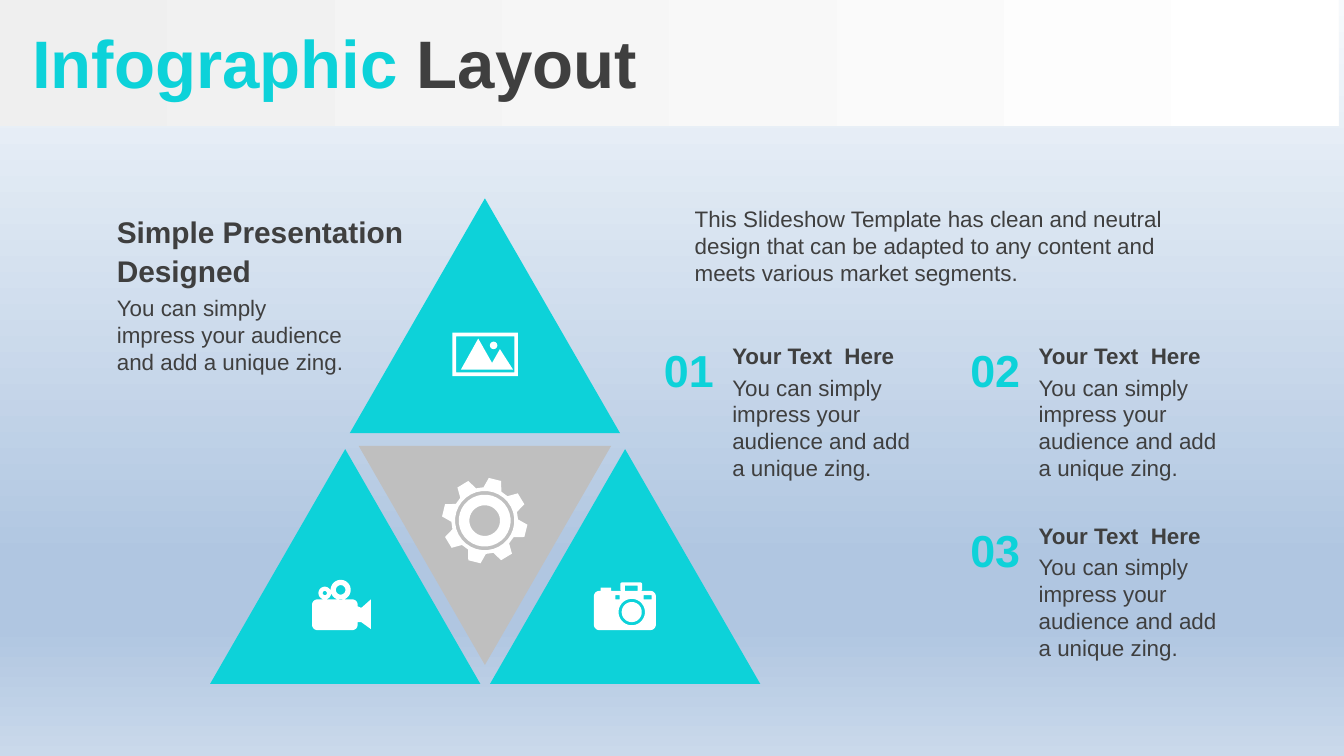
from copy import deepcopy
from math import copysign, cos, pi, radians, sin

from pptx import Presentation
from pptx.dml.color import RGBColor
from pptx.enum.shapes import MSO_SHAPE
from pptx.enum.text import MSO_ANCHOR, PP_ALIGN
from pptx.oxml.ns import qn
from pptx.util import Cm, Pt

UP_TRIANGLE = MSO_SHAPE.FLOWCHART_EXTRACT
DOWN_TRIANGLE = MSO_SHAPE.FLOWCHART_MERGE
RECTANGLE = MSO_SHAPE.RECTANGLE
MIDDLE, TOP = MSO_ANCHOR.MIDDLE, MSO_ANCHOR.TOP
CENTER, LEFT = PP_ALIGN.CENTER, PP_ALIGN.LEFT
TURQUOISE, DARK, GRAY, WHITE = "0DD2D9", "3F3F3F", "BFBFBF", "FFFFFF"
PROMISE = "You can simply impress your audience and add a unique zing."
rgb = RGBColor.from_string


def add_text(shapes, text, place, size=12, color=DARK, bold=False, align=LEFT, anchor=TOP):
    box = shapes.add_textbox(*map(Cm, place))
    frame = box.text_frame
    frame.word_wrap = True
    frame.vertical_anchor = anchor
    frame.text = text
    para = frame.paragraphs[0]
    para.alignment = align
    for span in para.runs:
        span.font.name = "Arial"
        span.font.size = Pt(size)
        span.font.bold = bold
        span.font.color.rgb = rgb(color)
    return box


def outline(x, y, width, height, radius=0):
    """Points of a rectangle around (x, y); a full radius makes it a circle."""
    steps = 32 if radius else 4
    angles = [2 * pi * (step + 0.5) / steps for step in range(steps)]
    return [(x + copysign(width / 2 - radius, cos(angle)) + radius * cos(angle),
             y + copysign(height / 2 - radius, sin(angle)) + radius * sin(angle))
            for angle in angles]


deck = Presentation()
deck.slide_width, deck.slide_height = Cm(25.4), Cm(14.29)
page = deck.slides.add_slide(deck.slide_layouts[6])

# Background and header band
header = page.shapes.add_shape(RECTANGLE, 0, 0, Cm(25.3), Cm(2.39))
header.shadow.inherit = False
header.line.fill.background()
gradients = [
    (page.background.fill, page.element.cSld, 270,
     [(0, "F6F9FC"), (0.74, "B0C6E1"), (0.83, "B0C6E1"), (1, "CAD9EB")]),
    (header.fill, header.element, 0, [(0, "EFEFEF"), (1, WHITE)]),
]
for fill, element, angle, stops in gradients:
    fill.gradient()
    fill.gradient_angle = angle
    stop_list = next(element.iter(qn("a:gsLst")))
    while len(stop_list) < len(stops):
        stop_list.append(deepcopy(stop_list[0]))
    for stop, (position, color) in zip(fill.gradient_stops, stops):
        stop.position = position
        stop.color.rgb = rgb(color)

# Title in two colours
title = add_text(page.shapes, "Infographic ", (0, 0.08, 25.4, 2.16), 36, TURQUOISE, True,
                 anchor=MIDDLE)
title.text_frame.margin_left = Cm(0.61)
span = title.text_frame.paragraphs[0].add_run()
span.text = "Layout"
span.font.name = "Arial"
span.font.size = Pt(36)
span.font.bold = True
span.font.color.rgb = rgb(DARK)

# Large triangle made of four
pyramid = page.shapes.add_group_shape()
for kind, left, top, width, height, color in [
    (UP_TRIANGLE, 6.61, 3.75, 5.11, 4.44, TURQUOISE),
    (UP_TRIANGLE, 3.97, 8.49, 5.11, 4.44, TURQUOISE),
    (UP_TRIANGLE, 9.26, 8.49, 5.11, 4.44, TURQUOISE),
    (DOWN_TRIANGLE, 6.78, 8.43, 4.77, 4.14, GRAY),
]:
    triangle = pyramid.shapes.add_shape(kind, Cm(left), Cm(top), Cm(width), Cm(height))
    triangle.shadow.inherit = False
    triangle.fill.solid()
    triangle.fill.fore_color.rgb = rgb(color)
    triangle.line.fill.background()

# Icons: inner contours cut holes in outer ones
landscape = [
    outline(9.17, 6.7, 1.24, 0.82),
    outline(9.17, 6.7, 1.1, 0.68),
    [(9.04, 6.4), (9.3, 6.86), (9.45, 6.6), (9.7, 6.99), (8.71, 6.99)],
    outline(9.33, 6.53, 0.14, 0.14, 0.07),
]
film_camera = [
    outline(6.33, 11.62, 0.86, 0.58, 0.1),
    [(6.76, 11.46), (6.83, 11.49), (7.01, 11.33), (7.01, 11.89), (6.83, 11.76), (6.76, 11.76)],
    outline(6.14, 11.21, 0.24, 0.24, 0.12),
    outline(6.14, 11.21, 0.08, 0.08, 0.04),
    outline(6.44, 11.15, 0.38, 0.38, 0.19),
    outline(6.44, 11.15, 0.18, 0.18, 0.09),
]
photo_camera = [
    outline(11.81, 11.54, 1.17, 0.74, 0.1),
    outline(11.94, 11.57, 0.5, 0.5, 0.25),
    outline(11.94, 11.57, 0.38, 0.38, 0.19),
    outline(11.67, 11.29, 0.08, 0.08),
    outline(12.24, 11.29, 0.15, 0.08),
    outline(11.93, 11.09, 0.41, 0.16, 0.03),
    outline(11.93, 11.12, 0.24, 0.1),
    outline(11.45, 11.14, 0.2, 0.06),
]
gear_x, gear_y = 9.16, 9.84
teeth = [(gear_x + radius * cos(radians(45 * tooth - 76 + offset)),
          gear_y + radius * sin(radians(45 * tooth - 76 + offset)))
         for tooth in range(8)
         for offset, radius in [(-16, 0.63), (-8.5, 0.81), (8.5, 0.81), (16, 0.63)]]
gear = [teeth] + [outline(gear_x, gear_y, 2 * radius, 2 * radius, radius)
                  for radius in (0.56, 0.49, 0.29)]

for contours in (landscape, film_camera, photo_camera, gear):
    builder = None
    for contour in contours:
        points = [(Cm(x), Cm(y)) for x, y in contour]
        if builder is None:
            builder = page.shapes.build_freeform(*points[0])
        else:
            builder.move_to(*points[0])
        builder.add_line_segments(points[1:], close=True)
    icon = builder.convert_to_shape()
    icon.shadow.inherit = False
    icon.fill.solid()
    icon.fill.fore_color.rgb = rgb(WHITE)
    icon.line.fill.background()

# Text beside the triangle
heading = add_text(page.shapes, "Simple Presentation Designed", (1.96, 3.68, 6.38, 2.06), 16,
                   bold=True, anchor=MIDDLE)
heading.text_frame.paragraphs[0].line_spacing = 1.1
add_text(page.shapes, PROMISE, (1.96, 5.44, 4.93, 1.8))
add_text(page.shapes, "This Slideshow Template has clean and neutral design that can be adapted "
         "to any content and meets various market segments.", (12.88, 3.76, 9.96, 1.8))

# Numbered points
for number, left, top in [("01", 12.22, 6.35), ("02", 18.01, 6.35), ("03", 18.01, 9.75)]:
    add_text(page.shapes, number, (left, top, 1.6, 1.27), 24, TURQUOISE, True, CENTER)
    point = page.shapes.add_group_shape()
    add_text(point.shapes, PROMISE, (left + 1.37, top + 0.59, 3.91, 2.31))
    add_text(point.shapes, "Your Text  Here", (left + 1.37, top, 3.91, 0.76), bold=True)

deck.save("out.pptx")
